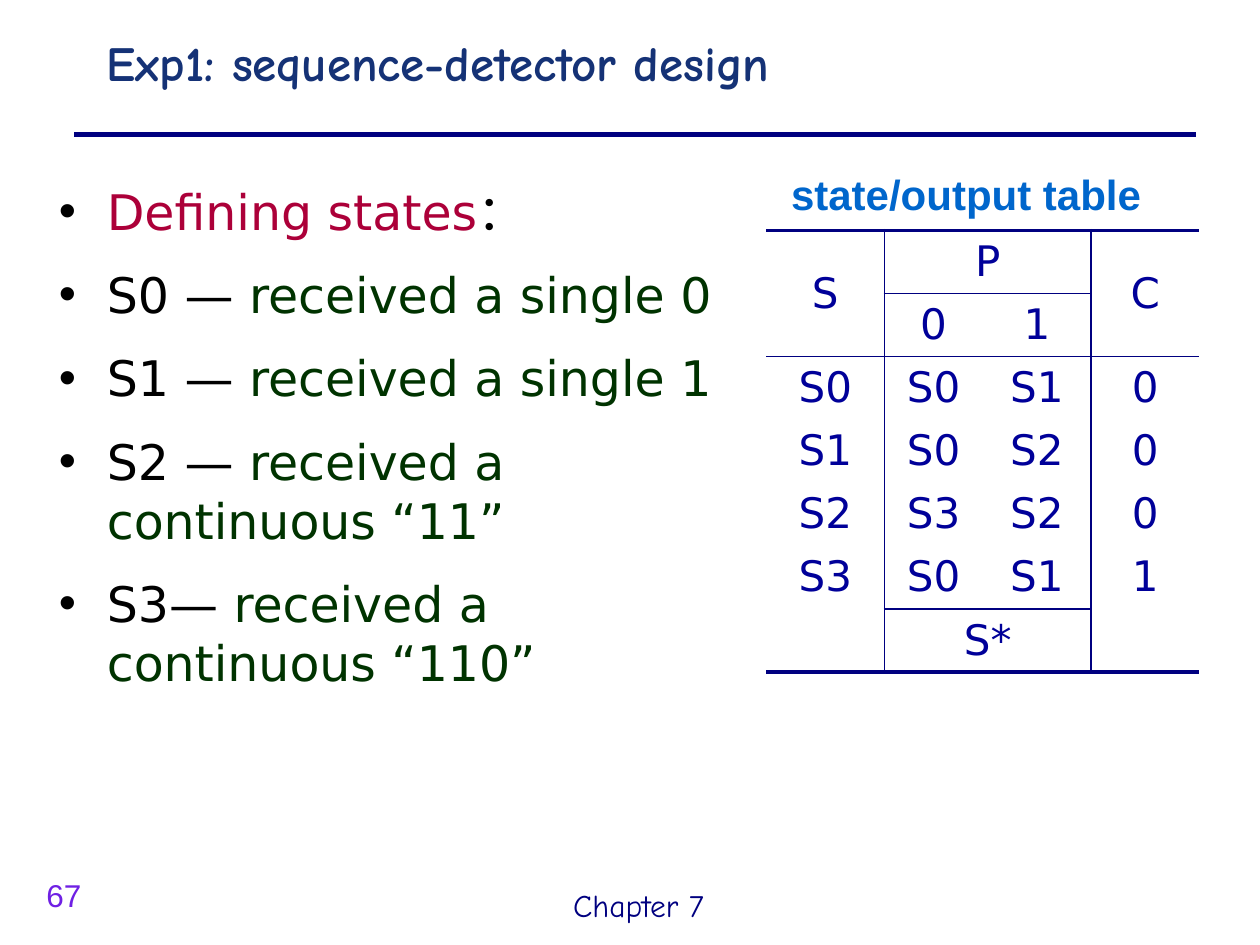
from lxml import etree
from pptx import Presentation
from pptx.dml.color import RGBColor
from pptx.enum import shapes, text
from pptx.oxml.ns import qn
from pptx.util import Inches, Pt

THEME = {
    "navy": "000080", "title": "153276", "page": "6F20E4", "caption": "0066CC",
    "heading": "AC0039", "black": "000000", "green": "003300", "cell": "000099",
    "hand": "Comic Neue", "sans": "Arial", "body": "DejaVu Sans",
    "large": 28, "medium": 24, "small": 18,
    "rule": 3, "thick": 2.25, "thin": 1,
}

LABELS = [
    ("Exp1: sequence-detector design", (0.75, 0.21, 8.74, 0.79), "hand", "large", "title", True),
    ("state/output table", (6.18, 1.29, 3.05, 0.5), "sans", "medium", "caption", True),
    ("Chapter 7", (4.45, 6.98, 1.42, 0.4), "hand", "small", "navy", False),
    ("67", (0.27, 6.9, 0.71, 0.4), "sans", "small", "page", False),
]
STATES = [
    [("Defining states", "heading"), ("：", "black")],
    [("S0 — ", "black"), ("received a single 0", "green")],
    [("S1 — ", "black"), ("received a single 1", "green")],
    [("S2 — ", "black"), ("received a continuous “11”", "green")],
    [("S3— ", "black"), ("received a continuous “110”", "green")],
]
ROWS = [
    ["S", "P", "", "C"],
    ["", "0", "1", ""],
    ["S0", "S0", "S1", "0"],
    ["S1", "S0", "S2", "0"],
    ["S2", "S3", "S2", "0"],
    ["S3", "S0", "S1", "1"],
    ["", "S*", "", ""],
]
COL_WIDTHS = [0.94, 0.78, 0.86, 0.86]
ROW_HEIGHT = 0.5
MERGES = [((0, 0), (1, 0)), ((0, 1), (0, 2)), ((0, 3), (1, 3)), ((6, 1), (6, 2))]
ALL_COLS, INNER_COLS = (0, 1, 2, 3), (1, 2)
H_RULES = {0: (ALL_COLS, "thick"), 1: (INNER_COLS, "thin"), 2: (ALL_COLS, "thin"),
           6: (INNER_COLS, "thin"), 7: (ALL_COLS, "thick")}
V_RULES = {1: "thin", 3: "thin"}


def add_run(p, words, font, size, color, bold=False):
    r = p.add_run()
    r.text = words
    for name, value in {"name": THEME[font], "size": Pt(THEME[size]), "bold": bold}.items():
        setattr(r.font, name, value)
    r.font.color.rgb = RGBColor.from_string(THEME[color])


def add_box(s, box):
    tf = s.shapes.add_textbox(*map(Inches, box)).text_frame
    tf.word_wrap = True
    return tf


def add_bullet(p):
    pPr = p._p.get_or_add_pPr()
    pPr.set("marL", str(Inches(0.38)))
    pPr.set("indent", str(-Inches(0.38)))
    color = etree.SubElement(pPr, qn("a:buClr"))
    etree.SubElement(color, qn("a:srgbClr"), val=THEME["black"])
    etree.SubElement(pPr, qn("a:buFont"), typeface=THEME["sans"])
    etree.SubElement(pPr, qn("a:buChar"), char="•")


def h_rule(edge, col):
    cols, weight = H_RULES.get(edge, ((), None))
    return weight if col in cols else None


def add_borders(cell, row, col):
    sides = {"L": V_RULES.get(col), "R": V_RULES.get(col + 1),
             "T": h_rule(row, col), "B": h_rule(row + 1, col)}
    tcPr = cell._tc.get_or_add_tcPr()
    for side, weight in sides.items():
        ln = etree.SubElement(tcPr, qn("a:ln" + side))
        if weight:
            ln.set("w", str(Pt(THEME[weight])))
            fill = etree.SubElement(ln, qn("a:solidFill"))
            etree.SubElement(fill, qn("a:srgbClr"), val=THEME["navy"])
        else:
            etree.SubElement(ln, qn("a:noFill"))


def add_state_table(s):
    size = (sum(COL_WIDTHS), ROW_HEIGHT * len(ROWS))
    frame = s.shapes.add_table(len(ROWS), len(COL_WIDTHS), *map(Inches, (6.08, 1.83, *size)))
    table = frame.table
    table.first_row = table.horz_banding = False
    for column, width in zip(table.columns, COL_WIDTHS):
        column.width = Inches(width)
    for i, row in enumerate(ROWS):
        table.rows[i].height = Inches(ROW_HEIGHT)
        for j, words in enumerate(row):
            cell = table.cell(i, j)
            add_borders(cell, i, j)
            cell.fill.background()
            cell.vertical_anchor = text.MSO_ANCHOR.MIDDLE
            if words:
                p = cell.text_frame.paragraphs[0]
                p.alignment = text.PP_ALIGN.CENTER
                add_run(p, words, "body", "medium", "cell")
    for first, last in MERGES:
        table.cell(*first).merge(table.cell(*last))


def main():
    prs = Presentation()
    prs.slide_width, prs.slide_height = Inches(10), Inches(7.5)
    s = prs.slides.add_slide(prs.slide_layouts[6])

    rule = s.shapes.add_connector(shapes.MSO_CONNECTOR.STRAIGHT,
                                  *map(Inches, (0.59, 1.07, 9.49, 1.07)))
    rule.line.width = Pt(THEME["rule"])
    rule.line.color.rgb = RGBColor.from_string(THEME["navy"])
    etree.SubElement(rule._element.spPr, qn("a:effectLst"))

    for words, box, *style in LABELS:
        add_run(add_box(s, box).paragraphs[0], words, *style)

    tf = add_box(s, (0.37, 1.39, 5.56, 5.46))
    for i, runs in enumerate(STATES):
        p = tf.add_paragraph() if i else tf.paragraphs[0]
        add_bullet(p)
        p.space_before = Pt(THEME["large"] / 2 if i else 0)
        for words, color in runs:
            add_run(p, words, "body", "large", color)

    add_state_table(s)
    prs.save("out.pptx")


if __name__ == "__main__":
    main()
